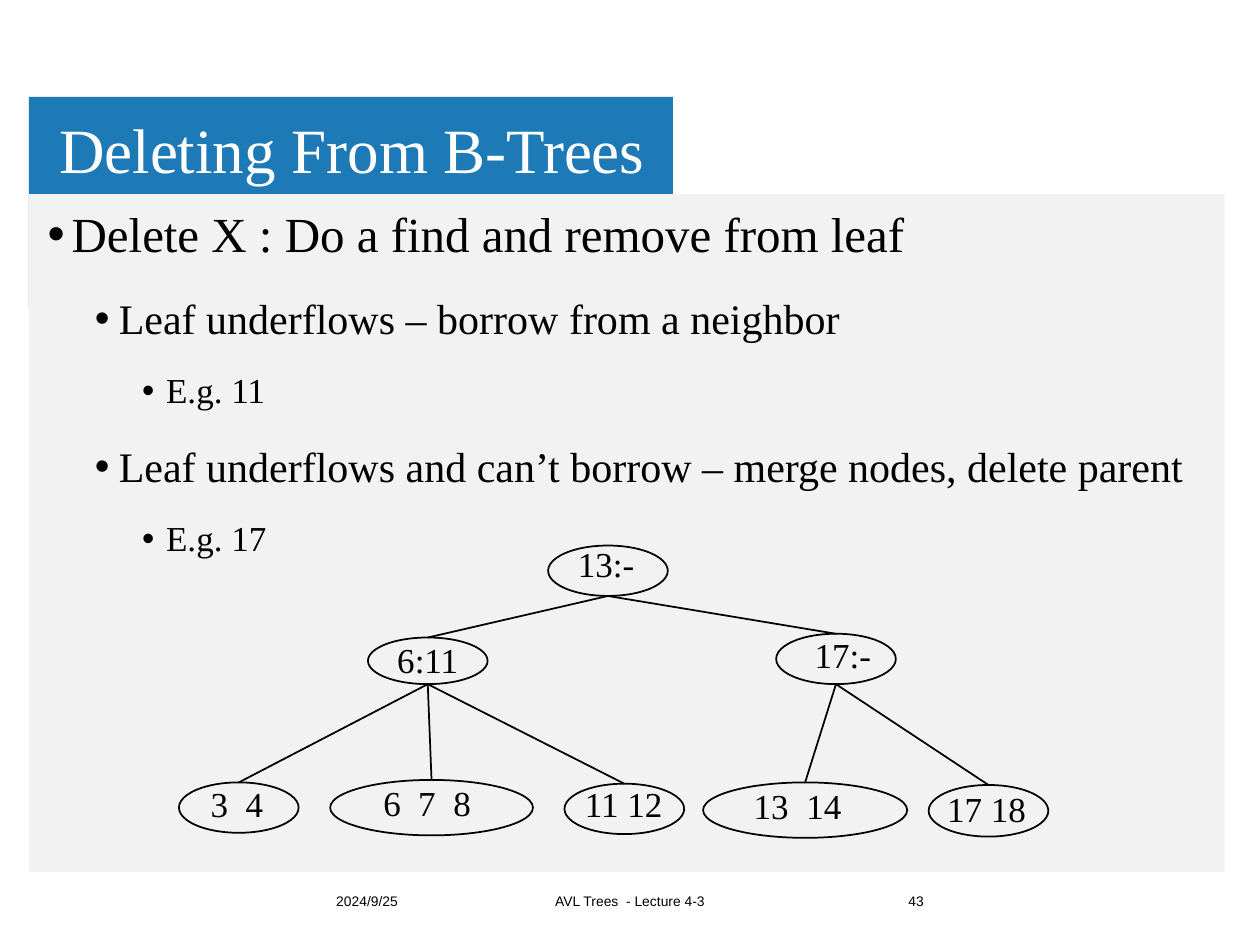
from pptx import Presentation
from pptx.dml.color import RGBColor
from pptx.enum.shapes import MSO_CONNECTOR, MSO_SHAPE
from pptx.enum.text import MSO_ANCHOR, PP_ALIGN
from pptx.oxml.ns import qn
from pptx.util import Inches, Pt
from lxml.etree import SubElement

THEME = {
    "blue": RGBColor(0x1E, 0x7A, 0xB6),
    "gray": RGBColor(0xF2, 0xF2, 0xF2),
    "white": RGBColor(0xFF, 0xFF, 0xFF),
    "black": RGBColor(0, 0, 0),
    "serif": "Times New Roman",
    "sans": "Arial",
    "title": 36,
    "levels": (28, 24, 20),
    "node": 20,
    "footer": 7.9,
}

TITLE = "Deleting From B-Trees"
BULLETS = [  # level, text
    (0, "Delete X : Do a find and remove from leaf"),
    (1, "Leaf underflows – borrow from a neighbor"),
    (2, "E.g. 11"),
    (1, "Leaf underflows and can’t borrow – merge nodes, delete parent"),
    (2, "E.g. 17"),
]
PANELS = [  # box, colour
    ((0.23, 0.77, 5.11, 1.67), "blue"),
    ((0.23, 1.54, 9.49, 5.38), "gray"),
]
NODES = {  # name: (ellipse box, label box, label)
    "root": ((4.35, 4.33, 0.95, 0.4), (4.54, 4.36, 0.54, 0.3), "13:-"),
    "left": ((2.92, 5.06, 0.95, 0.37), (3.05, 5.12, 0.69, 0.3), "6:11"),
    "right": ((6.16, 5.03, 0.95, 0.4), (6.4, 5.08, 0.58, 0.3), "17:-"),
    "leaf 1": ((1.42, 6.21, 0.95, 0.4), (1.65, 6.26, 0.46, 0.3), "3  4"),
    "leaf 2": ((2.62, 6.19, 1.61, 0.44), (3.01, 6.25, 0.76, 0.3), "6  7  8"),
    "leaf 3": ((4.48, 6.22, 0.95, 0.4), (4.51, 6.26, 0.88, 0.3), "11 12"),
    "leaf 4": ((5.58, 6.21, 1.62, 0.44), (5.95, 6.28, 0.76, 0.3), "13  14"),
    "leaf 5": ((7.37, 6.23, 0.95, 0.41), (7.48, 6.3, 0.7, 0.3), "17 18"),
}
CHILDREN = {
    "root": ["left", "right"],
    "left": ["leaf 1", "leaf 2", "leaf 3"],
    "right": ["leaf 4", "leaf 5"],
}
FOOTERS = [  # left, width, alignment, text
    (2.57, 1.27, PP_ALIGN.LEFT, "2024/9/25"),
    (4.05, 1.9, PP_ALIGN.CENTER, "AVL Trees  - Lecture 4-3"),
    (6.16, 1.27, PP_ALIGN.RIGHT, "43"),
]


def inches(box):
    return [Inches(length) for length in box]


def add_run(paragraph, text, size, font="serif", color="black"):
    run = paragraph.add_run()
    run.text = text
    run.font.size = Pt(size)
    run.font.name = THEME[font]
    run.font.color.rgb = THEME[color]


def set_margins(frame, horizontal, vertical):
    frame.margin_left = frame.margin_right = Inches(horizontal)
    frame.margin_top = frame.margin_bottom = Inches(vertical)


def add_panel(slide, box, color):
    panel = slide.shapes.add_shape(MSO_SHAPE.RECTANGLE, *inches(box))
    panel.shadow.inherit = False
    panel.fill.solid()
    panel.fill.fore_color.rgb = THEME[color]
    panel.line.fill.background()


def set_title(slide):
    title = slide.shapes.title
    title.left, title.top, title.width, title.height = inches((0.4, 0.82, 5.15, 0.79))
    frame = title.text_frame
    frame.word_wrap = True
    frame.vertical_anchor = MSO_ANCHOR.MIDDLE
    set_margins(frame, 0.07, 0.04)
    paragraph = frame.paragraphs[0]
    paragraph.alignment = PP_ALIGN.LEFT
    paragraph.line_spacing = 0.9
    add_run(paragraph, TITLE, THEME["title"], color="white")
    # Bring the title in front of the panels
    slide.shapes._spTree.append(title._element)


def add_bullets(slide):
    frame = slide.shapes.add_textbox(*inches((0.28, 1.62, 9.41, 4.94))).text_frame
    frame.word_wrap = True
    for index, (level, text) in enumerate(BULLETS):
        paragraph = frame.add_paragraph() if index else frame.paragraphs[0]
        size = THEME["levels"][level]
        paragraph.level = level
        paragraph.line_spacing = 0.9
        paragraph.space_before = Pt(round(size * 0.83) if index else 0)
        properties = paragraph._p.get_or_add_pPr()
        properties.set("marL", str(Inches(0.19 + 0.375 * level)))
        properties.set("indent", str(Inches(-0.19)))
        SubElement(properties, qn("a:buFont"), typeface=THEME["sans"])
        SubElement(properties, qn("a:buChar"), char="•")
        add_run(paragraph, text, size)


def add_ellipse(slide, box):
    ellipse = slide.shapes.add_shape(MSO_SHAPE.OVAL, *inches(box))
    ellipse.shadow.inherit = False
    ellipse.fill.background()
    ellipse.line.color.rgb = THEME["black"]
    ellipse.line.width = Pt(1)
    return ellipse


def add_edge(slide, parent, child):
    """Join the bottom of the parent ellipse to the top of the child ellipse."""
    edge = slide.shapes.add_connector(
        MSO_CONNECTOR.STRAIGHT,
        parent.left + parent.width // 2, parent.top + parent.height,
        child.left + child.width // 2, child.top,
    )
    edge.line.color.rgb = THEME["black"]
    edge.line.width = Pt(1)
    SubElement(edge._element.spPr, qn("a:effectLst"))


def add_label(slide, box, text):
    frame = slide.shapes.add_textbox(*inches(box)).text_frame
    frame.word_wrap = False
    set_margins(frame, 0, 0)
    paragraph = frame.paragraphs[0]
    paragraph.alignment = PP_ALIGN.CENTER
    paragraph.line_spacing = 0.85
    add_run(paragraph, text, THEME["node"])


def add_tree(slide):
    ellipses = {name: add_ellipse(slide, box) for name, (box, _, _) in NODES.items()}
    for parent, children in CHILDREN.items():
        for child in children:
            add_edge(slide, ellipses[parent], ellipses[child])
    for _, box, text in NODES.values():
        add_label(slide, box, text)


def add_footer(slide, left, width, alignment, text):
    frame = slide.shapes.add_textbox(*inches((left, 6.95, width, 0.4))).text_frame
    frame.word_wrap = True
    frame.vertical_anchor = MSO_ANCHOR.MIDDLE
    paragraph = frame.paragraphs[0]
    paragraph.alignment = alignment
    add_run(paragraph, text, THEME["footer"], font="sans")


def main():
    presentation = Presentation()
    presentation.slide_width, presentation.slide_height = Inches(10), Inches(7.5)
    slide = presentation.slides.add_slide(presentation.slide_layouts[5])
    for box, color in PANELS:
        add_panel(slide, box, color)
    set_title(slide)
    for footer in FOOTERS:
        add_footer(slide, *footer)
    add_bullets(slide)
    add_tree(slide)
    presentation.save("out.pptx")


if __name__ == "__main__":
    main()
